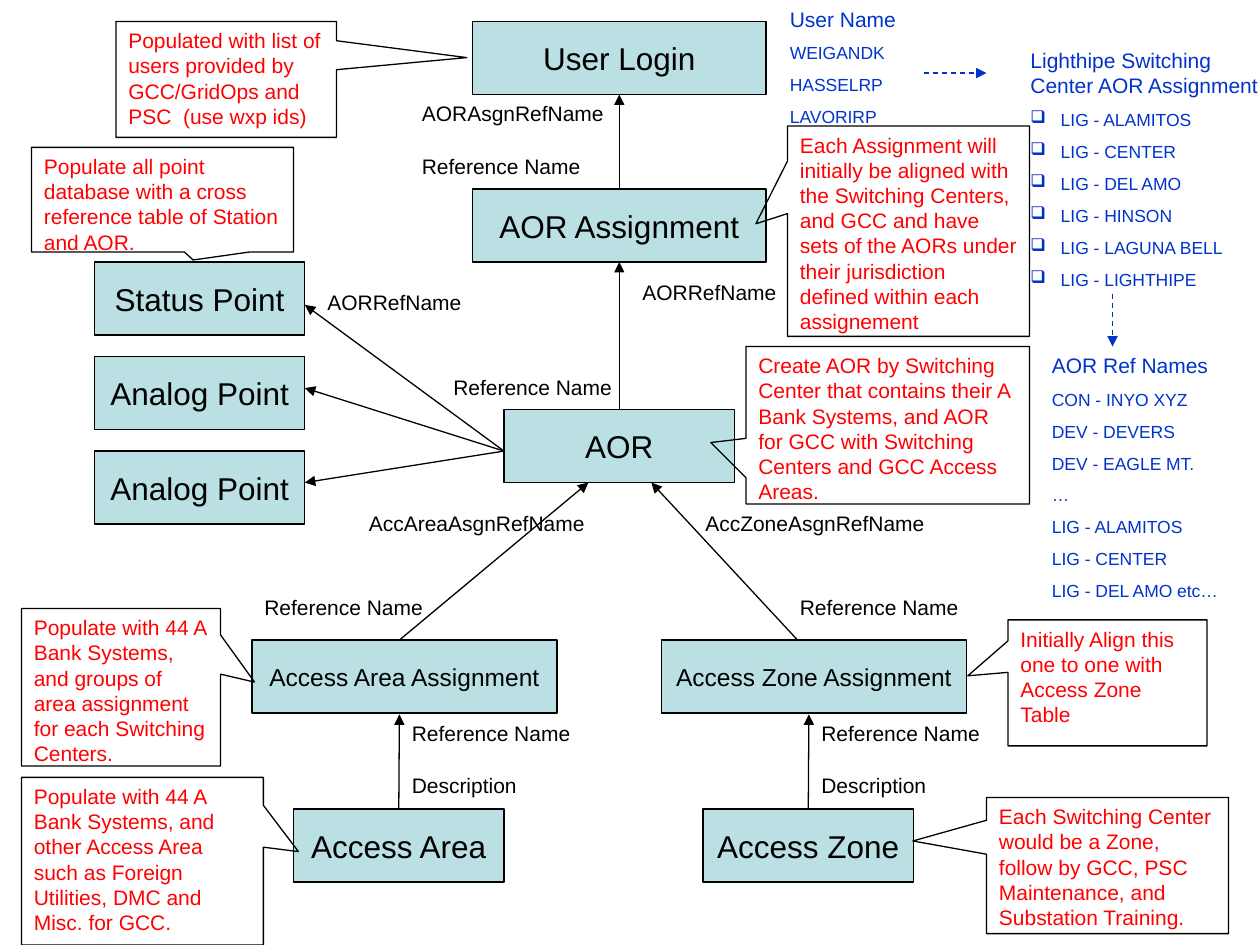
from lxml.etree import SubElement
from pptx import Presentation
from pptx.dml.color import RGBColor
from pptx.enum.dml import MSO_LINE
from pptx.enum.shapes import MSO_CONNECTOR, MSO_SHAPE
from pptx.enum.text import MSO_ANCHOR, PP_ALIGN
from pptx.oxml.ns import qn
from pptx.util import Inches, Pt

BLACK = RGBColor(0x00, 0x00, 0x00)
RED = RGBColor(0xFF, 0x00, 0x00)
BLUE = RGBColor(0x00, 0x33, 0xCC)
TEAL = RGBColor(0xBB, 0xE0, 0xE3)
BOX_HEIGHT = 0.58

prs = Presentation()
prs.slide_width, prs.slide_height = Inches(10), Inches(7.5)
slide = prs.slides.add_slide(prs.slide_layouts[6])
shapes = slide.shapes


def style_text(paragraph, size, color):
    for run in paragraph.runs:
        run.font.name = "Arial"
        run.font.size = Pt(size)
        run.font.color.rgb = color


def add_arrow(start, end, color=BLACK):
    arrow = shapes.add_connector(MSO_CONNECTOR.STRAIGHT, *map(Inches, start + end))
    arrow.line.color.rgb = color
    arrow.line.width = Pt(0.75)
    properties = arrow._element.spPr
    SubElement(arrow.line._get_or_add_ln(), qn("a:tailEnd"), type="triangle")
    SubElement(properties, qn("a:effectLst"))
    return arrow


# Table boxes: name, left, top, width, text size
tables = [
    ("User Login", 3.75, 0.17, 2.33, 18),
    ("AOR Assignment", 3.75, 1.5, 2.33, 18),
    ("AOR", 4, 3.25, 1.83, 18),
    ("Status Point", 0.75, 2.08, 1.67, 18),
    ("Analog Point", 0.75, 2.83, 1.67, 18),
    ("Analog Point", 0.75, 3.58, 1.67, 18),
    ("Access Area Assignment", 2, 5.08, 2.42, 14),
    ("Access Zone Assignment", 5.25, 5.08, 2.42, 14),
    ("Access Area", 2.33, 6.42, 1.67, 18),
    ("Access Zone", 5.58, 6.42, 1.67, 18),
]
boxes = {}
for name, left, top, width, size in tables:
    box = shapes.add_shape(
        MSO_SHAPE.RECTANGLE, Inches(left), Inches(top), Inches(width), Inches(BOX_HEIGHT))
    box.shadow.inherit = False
    box.fill.solid()
    box.fill.fore_color.rgb = TEAL
    box.line.color.rgb = BLACK
    box.line.width = Pt(0.75)
    box.text_frame.text = name
    box.text_frame.word_wrap = False
    box.text_frame.vertical_anchor = MSO_ANCHOR.MIDDLE
    box.text_frame.paragraphs[0].alignment = PP_ALIGN.CENTER
    style_text(box.text_frame.paragraphs[0], size, BLACK)
    boxes[name] = box

# Reference arrows: start, end, box joined at its top, box joined at its bottom
references = [
    ((4.92, 1.5), (4.92, 0.75), "AOR Assignment", "User Login"),
    ((4.92, 3.25), (4.92, 2.08), "AOR", "AOR Assignment"),
    ((3.17, 6.42), (3.17, 5.67), "Access Area", None),
    ((6.42, 6.42), (6.42, 5.67), "Access Zone", None),
    ((3.17, 5.08), (4.67, 3.83), None, None),
    ((6.33, 5.08), (5.17, 3.83), None, None),
    ((4, 3.58), (2.42, 2.42), None, None),
    ((4, 3.58), (2.42, 3.08), None, None),
    ((4, 3.58), (2.42, 3.83), None, None),
]
for start, end, source, target in references:
    reference = add_arrow(start, end)
    if source:
        reference.begin_connect(boxes[source], 0)
    if target:
        reference.end_connect(boxes[target], 2)

# Dashed arrows between the example lists
for start, end in [((7.33, 0.58), (7.83, 0.58)), ((8.83, 2.33), (8.83, 2.75))]:
    add_arrow(start, end, BLUE).line.dash_style = MSO_LINE.DASH

# Field labels: text, left, top
fields = [
    ("AORAsgnRefName", 3.25, 0.75),
    ("Reference Name", 3.25, 1.17),
    ("AORRefName", 5, 2.17),
    ("AORRefName", 2.5, 2.25),
    ("Reference Name", 3.5, 2.92),
    ("AccAreaAsgnRefName", 2.83, 4),
    ("AccZoneAsgnRefName", 5.5, 4),
    ("Reference Name", 2, 4.67),
    ("Reference Name", 6.25, 4.67),
]
for left in (3.17, 6.42):
    fields += [("Reference Name", left, 5.67), ("Description", left, 6.08)]
for name, left, top in fields:
    field = shapes.add_textbox(Inches(left), Inches(top), Inches(2), Inches(0.3)).text_frame
    field.word_wrap = True
    field.text = name
    style_text(field.paragraphs[0], 12, BLACK)

# Callouts: left, top, width, height, pointer offset, text
notes = [
    (0.92, 0.17, 1.75, 0.92, (1.091, -0.188),
     "Populated with list of users provided by GCC/GridOps and PSC  (use wxp ids)"),
    (0.25, 1.17, 2.08, 0.83, (0.117, 0.577),
     "Populate all point database with a cross reference table of Station and AOR."),
    (6.25, 1, 1.92, 1.67, (-0.631, -0.035),
     "Each Assignment will initially be aligned with the Switching Centers, and GCC and "
     "have sets of the AORs under their jurisdiction defined within each assignement"),
    (5.92, 2.75, 2.25, 1.25, (-0.624, 0.11),
     "Create AOR by Switching Center that contains their A Bank Systems, and AOR for GCC "
     "with Switching Centers and GCC Access Areas."),
    (0.17, 4.83, 1.58, 1.25, (0.671, -0.033),
     "Populate with 44 A Bank Systems, and groups of area assignment for each Switching "
     "Centers."),
    (8, 4.92, 1.58, 1, (-0.702, -0.056),
     "Initially Align this one to one with Access Zone Table"),
    (0.17, 6.17, 1.92, 1.33, (0.645, -0.057),
     "Populate with 44 A Bank Systems, and other Access Area such as Foreign Utilities, "
     "DMC and Misc. for GCC."),
    (7.83, 6.33, 1.92, 1.08, (-0.805, -0.181),
     "Each Switching Center would be a Zone, follow by GCC, PSC Maintenance, and "
     "Substation Training."),
]
for left, top, width, height, pointer, text in notes:
    note = shapes.add_shape(
        MSO_SHAPE.RECTANGULAR_CALLOUT,
        Inches(left), Inches(top), Inches(width), Inches(height))
    note.adjustments[0], note.adjustments[1] = pointer
    note.shadow.inherit = False
    note.fill.background()
    note.line.color.rgb = BLACK
    note.line.width = Pt(0.75)
    note.text_frame.text = text
    note.text_frame.word_wrap = True
    note.text_frame.vertical_anchor = MSO_ANCHOR.TOP
    note.text_frame.paragraphs[0].alignment = PP_ALIGN.LEFT
    style_text(note.text_frame.paragraphs[0], 12, RED)

# Example lists: left, top, width, height, bulleted, heading, entries
examples = [
    (6.17, 0, 1.75, 1.32, False, "User Name", ["WEIGANDK", "HASSELRP", "LAVORIRP"]),
    (8.08, 0.33, 2.08, 2.02, True, "Lighthipe Switching Center AOR Assignment",
     ["LIG - ALAMITOS", "LIG - CENTER", "LIG - DEL AMO", "LIG - HINSON",
      "LIG - LAGUNA BELL", "LIG - LIGHTHIPE"]),
    (8.25, 2.75, 1.92, 2.08, False, "AOR Ref Names",
     ["CON - INYO XYZ", "DEV - DEVERS", "DEV - EAGLE MT.", "…", "LIG - ALAMITOS",
      "LIG - CENTER", "LIG - DEL AMO etc…"]),
]
for left, top, width, height, bulleted, heading, entries in examples:
    example = shapes.add_textbox(
        Inches(left), Inches(top), Inches(width), Inches(height)).text_frame
    example.word_wrap = True
    example.text = heading
    example.paragraphs[0].space_before = Pt(7.5)
    style_text(example.paragraphs[0], 12, BLUE)
    for entry in entries:
        line = example.add_paragraph()
        line.text = entry
        line.space_before = Pt(6.2)
        style_text(line, 10, BLUE)
        if bulleted:
            properties = line._p.get_or_add_pPr()
            properties.set("marL", str(Inches(0.24)))
            properties.set("indent", str(-Inches(0.24)))
            bullet_color = SubElement(properties, qn("a:buClr"))
            SubElement(bullet_color, qn("a:srgbClr"), val=str(BLUE))
            SubElement(properties, qn("a:buChar"), char="❑")

prs.save("out.pptx")
